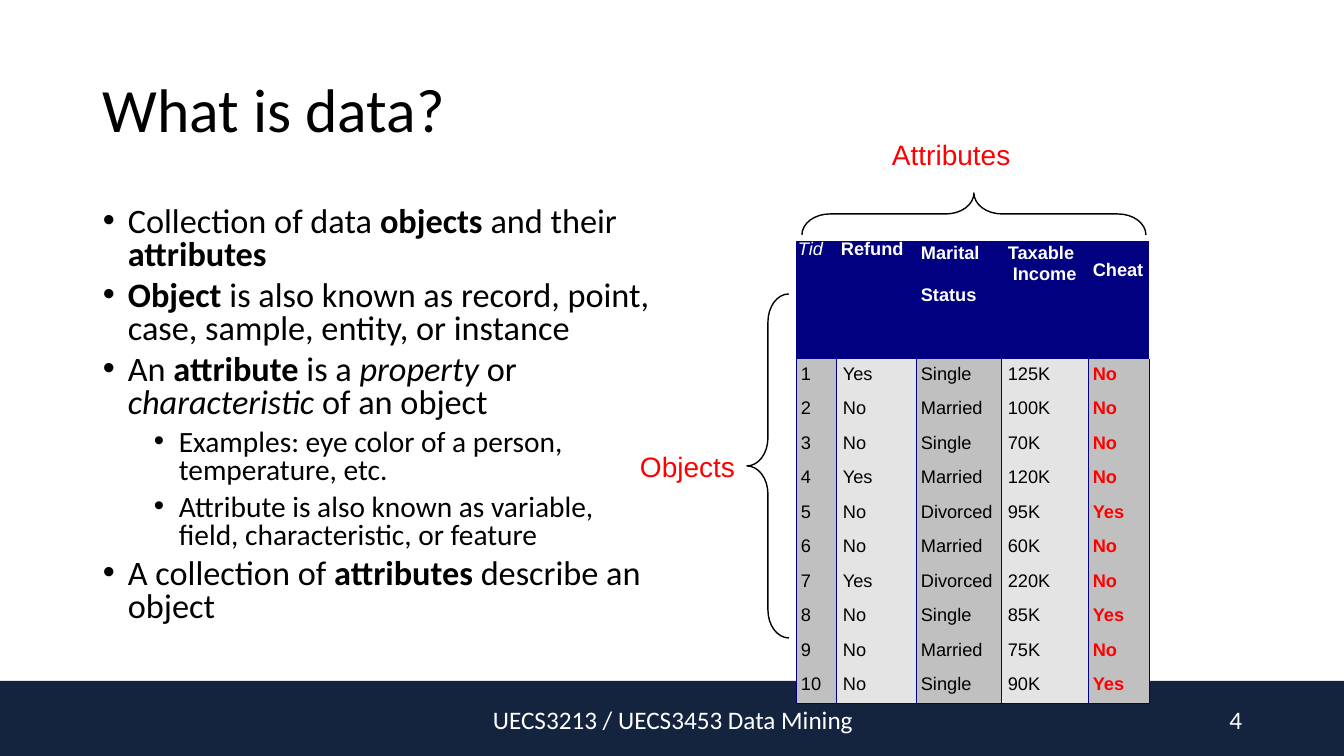
from math import cos, pi, sin

from lxml.etree import SubElement
from pptx import Presentation
from pptx.dml.color import RGBColor
from pptx.enum.shapes import MSO_SHAPE as Preset
from pptx.enum.text import MSO_ANCHOR as Anchor, PP_ALIGN as Align
from pptx.oxml.ns import qn
from pptx.util import Emu, Pt

EMU_PER_PX = 914400 / 100.8
NAVY, FOOTER, RED = "000080", "14233E", "FF0000"
BLACK, WHITE, GREY, LIGHT = "000000", "FFFFFF", "C0C0C0", "E4E4E4"
NO_STYLE = "{2D5ABB26-0587-4C30-8999-92F81FD0307C}"


def px(value):
    return Emu(round(value * EMU_PER_PX))


def color(value):
    return RGBColor.from_string(value)


class DataSlide:
    body_font = "Calibri"
    label_font = "Arial"

    def __init__(self, presentation):
        self.slide = presentation.slides.add_slide(presentation.slide_layouts[6])
        self.shapes = self.slide.shapes

    def style(self, paragraph, font, size, fill, bold=None, italic=None):
        for run in paragraph.runs:
            run.font.name, run.font.size = font, Pt(size)
            run.font.color.rgb = color(fill)
            if bold is not None:
                run.font.bold = bold
            if italic is not None:
                run.font.italic = italic

    def margins(self, holder, top=0):
        holder.margin_left = holder.margin_right = holder.margin_bottom = 0
        holder.margin_top = px(top)

    def band(self, left, top, width, height, fill):
        shape = self.shapes.add_shape(Preset.RECTANGLE, px(left), px(top), px(width), px(height))
        shape.shadow.inherit = False
        shape.fill.solid()
        shape.fill.fore_color.rgb = color(fill)
        shape.line.fill.background()

    def frame(self, left, top, width, height, anchor=Anchor.TOP):
        box = self.shapes.add_textbox(px(left), px(top), px(width), px(height))
        box.text_frame.word_wrap = True
        box.text_frame.vertical_anchor = anchor
        return box.text_frame

    def text(self, place, words, size, fill, align=Align.LEFT):
        text_frame = self.frame(*place, Anchor.MIDDLE)
        text_frame.text = words
        paragraph = text_frame.paragraphs[0]
        paragraph.alignment = align
        paragraph.line_spacing = 0.9
        self.style(paragraph, self.body_font, size, fill)

    def label(self, place, words):
        text_frame = self.frame(*place)
        self.margins(text_frame, 1)
        text_frame.text = words
        paragraph = text_frame.paragraphs[0]
        self.indent(paragraph, 1)
        self.style(paragraph, self.label_font, 20, RED)

    def indent(self, paragraph, left, hanging=0):
        properties = paragraph._p.get_or_add_pPr()
        properties.set("marL", str(px(left)))
        properties.set("indent", str(px(-hanging)))
        return properties

    def bullets(self, place, items):
        text_frame = self.frame(*place)
        for index, (level, runs) in enumerate(items):
            paragraph = text_frame.add_paragraph() if index else text_frame.paragraphs[0]
            paragraph.level = level
            properties = self.indent(paragraph, 25 + 51 * level, 25)
            SubElement(properties, qn("a:buFont"), typeface="Arial")
            SubElement(properties, qn("a:buChar"), char="•")
            paragraph.line_spacing = 0.8
            if index:
                paragraph.space_before = Pt(6)
            for words, emphasis in runs:
                run = paragraph.add_run()
                run.text = words
                run.font.bold = emphasis == "bold"
                run.font.italic = emphasis == "italic"
            self.style(paragraph, self.body_font, 21 if level else 24.5, BLACK)

    def brace(self, place, length=344, depth=42, radius=28):
        angles = [step * pi / 16 for step in range(9)]
        half = [(radius * (1 - cos(a)), depth / 2 * sin(a)) for a in angles]
        half += [(length / 2 - radius * (1 - sin(a)), depth * (1 - cos(a) / 2)) for a in angles]
        outline = half + [(length - along, across) for along, across in half[-2::-1]]
        points = [tuple(px(value) for value in place(*point)) for point in outline]
        builder = self.shapes.build_freeform(*points[0])
        builder.add_line_segments(points[1:], close=False)
        shape = builder.convert_to_shape()
        shape.shadow.inherit = False
        shape.fill.background()
        shape.line.color.rgb = color(BLACK)
        shape.line.width = Pt(1)

    def table(self, left, top, columns, rows):
        frame = self.shapes.add_table(len(rows), len(columns), px(left), px(top),
                                      px(sum(columns)), px(sum(rows)))
        frame._element.find(".//" + qn("a:tableStyleId")).text = NO_STYLE
        table = frame.table
        table.first_row = table.horz_banding = False
        for column, width in zip(table.columns, columns):
            column.width = px(width)
        for row, height in zip(table.rows, rows):
            row.height = px(height)
        return table

    def cell(self, cell, fill, words="", left=0, top=0, ink=WHITE, bold=False,
             italic=False, spacing=None, borders=()):
        self.margins(cell, top)
        for side in borders:
            line = SubElement(cell._tc.get_or_add_tcPr(), qn("a:" + side), w="6350")
            SubElement(SubElement(line, qn("a:solidFill")), qn("a:srgbClr"), val=NAVY)
        cell.fill.solid()
        cell.fill.fore_color.rgb = color(fill)
        cell.text_frame.text = words
        for paragraph in cell.text_frame.paragraphs:
            if not words:
                SubElement(paragraph._p, qn("a:endParaRPr"), sz="100")
                continue
            self.indent(paragraph, left)
            if spacing:
                paragraph.line_spacing = Pt(spacing)
            self.style(paragraph, self.label_font, 13, ink, bold, italic)


def add_records(page):
    table = page.table(796, 241, [40, 80, 85, 7, 80, 61], [20, 44, 34] + [34, 35] * 5)
    headings = {
        (0, 0): dict(words="Tid", left=2, italic=True, spacing=13.2),
        (0, 1): dict(words="Refund", left=5, bold=True, spacing=13.2),
        (0, 2): dict(words="Marital\nStatus", left=5, top=1, bold=True, spacing=15),
        (0, 4): dict(words="Taxable\nIncome", top=1, bold=True, spacing=15),
        (1, 5): dict(words="Cheat", left=5, bold=True, spacing=13.6),
    }
    for row in range(3):
        for column in range(6):
            page.cell(table.cell(row, column), NAVY, **headings.get((row, column), {}))
    table.cell(0, 2).text_frame.paragraphs[1].space_before = Pt(15)
    page.indent(table.cell(0, 4).text_frame.paragraphs[1], 5)
    for start, end in [((0, 2), (1, 2)), ((0, 4), (1, 4)), ((1, 0), (1, 1)), ((2, 0), (2, 5))]:
        table.cell(*start).merge(table.cell(*end))

    records = [
        ("Yes", "Single", "125K", "No"), ("No", "Married", "100K", "No"),
        ("No", "Single", "70K", "No"), ("Yes", "Married", "120K", "No"),
        ("No", "Divorced", "95K", "Yes"), ("No", "Married", "60K", "No"),
        ("Yes", "Divorced", "220K", "No"), ("No", "Single", "85K", "Yes"),
        ("No", "Married", "75K", "No"), ("No", "Single", "90K", "Yes"),
    ]
    for tid, (refund, status, income, cheat) in enumerate(records, 1):
        row = tid + 2
        borders = ("lnL", "lnR", "lnB") if tid == len(records) else ("lnL", "lnR")
        for column, words in enumerate((str(tid), refund, status, income, "", cheat)):
            shaded = column in (0, 2, 5)
            page.cell(table.cell(row, column), GREY if shaded else LIGHT, words,
                      5 if shaded else 7, 5, RED if column == 5 else BLACK,
                      column == 5, borders=borders)
        table.cell(row, 3).merge(table.cell(row, 4))


def main():
    presentation = Presentation()
    presentation.slide_width, presentation.slide_height = px(1344), px(756)
    page = DataSlide(presentation)
    page.band(0, 681, 1344, 75, FOOTER)
    page.text((93, 40, 1159, 146), "What is data?", 44, BLACK)
    page.bullets((93, 202, 571, 479), [
        (0, [("Collection of data ", ""), ("objects ", "bold"), ("and their ", ""),
             ("attributes", "bold")]),
        (0, [("Object ", "bold"),
             ("is also known as record, point, case, sample, entity, or instance", "")]),
        (0, [("An ", ""), ("attribute ", "bold"), ("is a ", ""), ("property ", "italic"),
             ("or ", ""), ("characteristic ", "italic"), ("of an object", "")]),
        (1, [("Examples: eye color of a person, temperature, etc.", "")]),
        (1, [("Attribute is also known as variable, field, characteristic, or feature", "")]),
        (0, [("A collection of ", ""), ("attributes ", "bold"), ("describe an object", "")]),
    ])
    add_records(page)
    page.brace(lambda along, across: (802 + along, 235 - across))
    page.label((891, 137, 121, 35), "Attributes")
    page.brace(lambda along, across: (789 - across, 294 + along))
    page.label((639, 449, 98, 35), "Objects")
    page.text((950, 701, 302, 40), "4", 18, WHITE, Align.RIGHT)
    page.text((446, 701, 454, 40), "UECS3213 / UECS3453 Data Mining", 18, WHITE, Align.CENTER)
    presentation.save("out.pptx")


if __name__ == "__main__":
    main()
